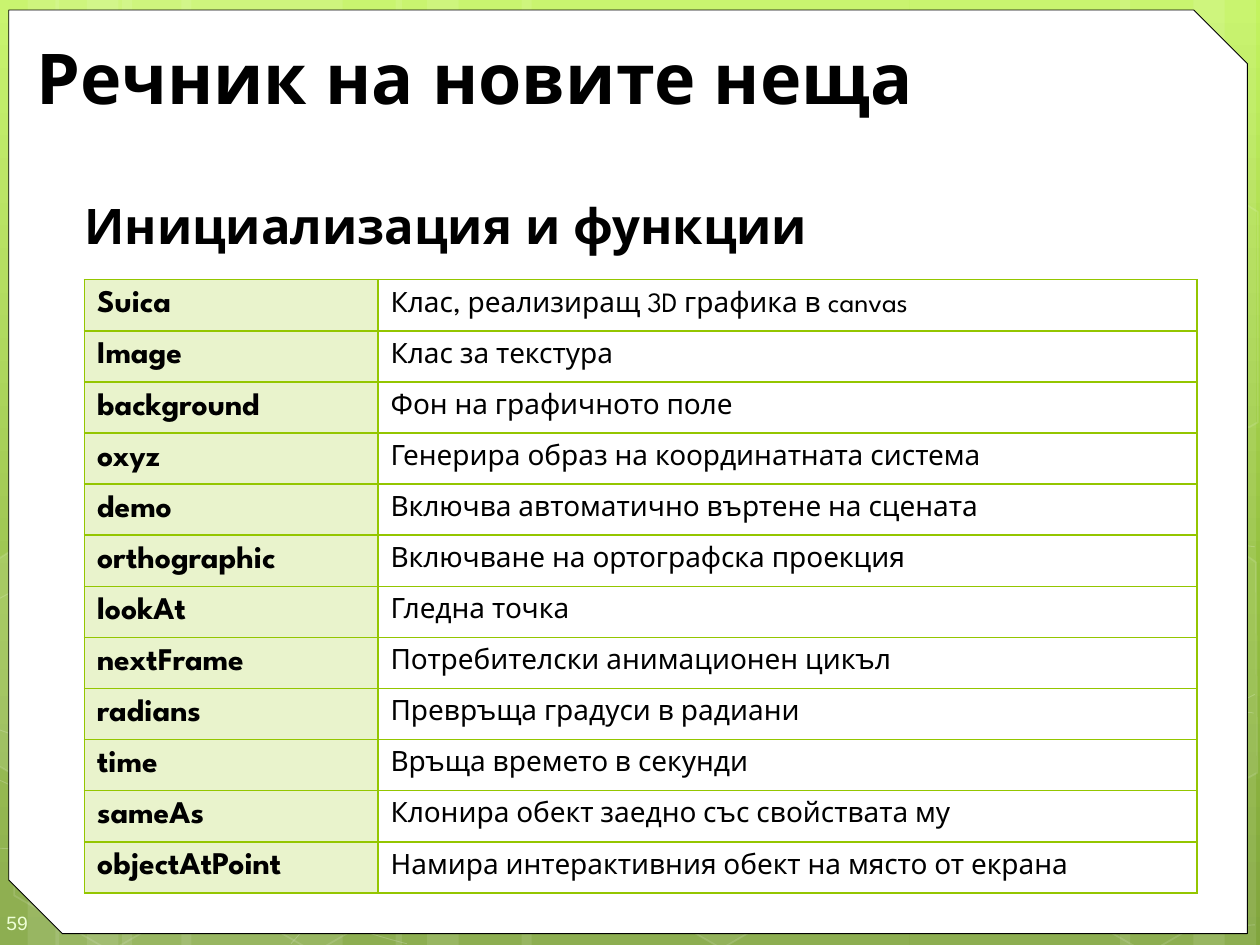
import math

from lxml import etree
from pptx import Presentation
from pptx.dml.color import RGBColor
from pptx.enum import shapes, text
from pptx.oxml import ns
from pptx.util import Inches, Pt

WHITE = RGBColor(0xFF, 0xFF, 0xFF)
BLACK = RGBColor(0, 0, 0)
GREEN = RGBColor(0x94, 0xC6, 0x00)
PALE = RGBColor(0xEE, 0xFF, 0xD6)
BACKDROP = [(0, RGBColor(0xC3, 0xF3, 0x5F)), (62, RGBColor(0x93, 0xBF, 0x3F)),
            (100, RGBColor(0x81, 0xA5, 0x3E))]
FONT = "League Spartan"
TILT = 30

# left, width, rotation
BANDS = [(0.97, 1.75, 0), (-0.03, 0.5, 0), (0.22, 0.83, 0), (1.44, 1.75, 0), (0.44, 0.5, 0),
         (0.69, 0.83, 0), (7.22, 1.75, 180), (9.47, 0.5, 180), (8.89, 0.83, 180),
         (4.14, 3.08, 0), (3.14, 0.5, 0), (3.39, 0.83, 0)]
# each curve: start point, then two handles and an end point per segment
CURVES = [
    [(-0.04, 6.73), (0.5, 6.76), (1.04, 6.79), (1.79, 6.78), (2.54, 6.77), (3.46, 6.75),
     (4.47, 6.65), (5.47, 6.55), (6.89, 6.36), (7.8, 6.17), (8.72, 5.98), (9.66, 5.68),
     (9.96, 5.51)],
    [(-0.04, 4.77), (0.25, 4.61), (0.54, 4.46), (1.1, 4.31), (1.67, 4.16), (2.47, 3.94),
     (3.36, 3.87), (4.25, 3.8), (5.33, 3.79), (6.43, 3.87), (7.53, 3.95), (9.36, 4.26),
     (9.96, 4.34)],
    [(-0.05, 6.17), (1.15, 6.72), (2.36, 7.27), (3.23, 7.49)],
    [(-0.04, 5.78), (0.27, 5.89), (0.59, 6), (1.17, 6.16), (1.75, 6.31), (2.62, 6.56),
     (3.45, 6.73), (4.29, 6.9), (5.34, 7.08), (6.17, 7.18), (6.99, 7.29), (7.89, 7.33),
     (8.41, 7.36), (8.94, 7.4), (9.08, 7.38), (9.34, 7.38), (9.59, 7.37), (9.78, 7.35),
     (9.96, 7.34)],
    [(2.31, 7.49), (2.49, 7.29), (2.67, 7.09), (2.91, 6.91), (3.15, 6.73), (3.49, 6.53),
     (3.76, 6.39), (4.04, 6.25), (4.22, 6.19), (4.58, 6.09), (4.95, 5.99), (5.62, 5.85),
     (5.97, 5.78), (6.32, 5.71), (6.38, 5.71), (6.69, 5.69), (7, 5.66), (7.49, 5.63),
     (7.83, 5.62), (8.17, 5.61), (8.75, 5.62), (8.75, 5.62), (8.97, 5.62), (9.19, 5.62),
     (9.41, 5.62), (9.6, 5.63), (9.77, 5.64), (9.86, 5.65), (9.94, 5.66), (9.91, 5.65),
     (9.95, 5.66)],
]
# left, top, fill opacity, line opacity
HEXAGONS = [(3.25, 3.13, 10, 12), (4.04, 4.51, 0, 12), (4.05, 1.74, 7, 8), (3.23, 0.36, 4, 8),
            (4.85, 5.89, 6, 12), (0, 5.91, 0, 12), (0.03, 3.12, 7, 8), (0.82, 4.51, 0, 12),
            (1.62, 5.92, 0, 12), (1.65, 3.13, 7, 8), (0.84, 1.71, 0, 12), (7.42, 4.53, 10, 12),
            (8.23, 5.93, 0, 12), (8.23, 3.14, 7, 8)]
# centre, corners, fill opacity
CUT_HEXAGONS = [
    ((0.24, 5.35), [(-0.03, 4.45), (0.08, 4.38), (0.85, 4.82), (0.84, 5.7), (0.09, 6.14),
                    (-0.03, 6.07)], 10),
    ((9.74, 5.2), [(9.15, 4.85), (9.9, 4.41), (9.97, 4.46), (9.98, 6.13), (9.91, 6.17),
                   (9.14, 5.73)], 4),
    ((9.74, 2.41), [(9.15, 2.07), (9.9, 1.63), (9.98, 1.68), (9.98, 3.35), (9.91, 3.39),
                    (9.14, 2.95)], 0),
]
TERMS = [
    ("Suica", "Клас, реализиращ 3D графика в canvas"),
    ("Image", "Клас за текстура"),
    ("background", "Фон на графичното поле"),
    ("oxyz", "Генерира образ на координатната система"),
    ("demo", "Включва автоматично въртене на сцената"),
    ("orthographic", "Включване на ортографска проекция"),
    ("lookAt", "Гледна точка"),
    ("nextFrame", "Потребителски анимационен цикъл"),
    ("radians", "Превръща градуси в радиани"),
    ("time", "Връща времето в секунди"),
    ("sameAs", "Клонира обект заедно със свойствата му"),
    ("objectAtPoint", "Намира интерактивния обект на място от екрана"),
]


def add_child(parent, tag, **attributes):
    return etree.SubElement(parent, ns.qn(tag), attributes)


def set_backdrop(page):
    fill = page.background.fill
    fill.gradient()
    fill.gradient_angle = 270
    stops = page.element.xpath(".//p:bg//a:gsLst")[0]
    for stop in list(stops):
        stops.remove(stop)
    for percent, color in BACKDROP:
        stop = add_child(stops, "a:gs", pos=str(percent * 1000))
        add_child(stop, "a:srgbClr", val=str(color))


def set_opacity(colors, percent):
    for color in colors:
        add_child(color, "a:alpha", val=str(percent * 1000))


def make_glassy(shape, fill_opacity=0, line_opacity=0, width=1):
    """Paint in see-through white; an opacity of 0 leaves the part out."""
    shape.shadow.inherit = False
    for fill, opacity, where in ((shape.fill, fill_opacity, "p:spPr"),
                                 (shape.line.fill, line_opacity, "p:spPr/a:ln")):
        if opacity:
            fill.solid()
            fill.fore_color.rgb = WHITE
            set_opacity(shape.element.xpath(f"./{where}/a:solidFill/a:srgbClr"), opacity)
        else:
            fill.background()
    if line_opacity:
        shape.line.width = Pt(width)


def add_preset(page, kind, left, top, width, height):
    return page.shapes.add_shape(kind, Inches(left), Inches(top), Inches(width), Inches(height))


def add_outline(page, points, close):
    corners = [(Inches(x), Inches(y)) for x, y in points]
    builder = page.shapes.build_freeform(*corners[0])
    builder.add_line_segments(corners[1:], close=close)
    return builder.convert_to_shape()


def add_curve(page, knots):
    """Turn every three line segments into one Bezier segment."""
    curve = add_outline(page, knots, False)
    lines = curve.element.xpath(".//a:lnTo")
    for first in range(0, len(lines), 3):
        bend = etree.Element(ns.qn("a:cubicBezTo"))
        lines[first].addprevious(bend)
        for line in lines[first:first + 3]:
            bend.append(line[0])
            line.getparent().remove(line)
    return curve


def turn(point, centre, degrees):
    angle = math.radians(degrees)
    x, y = point[0] - centre[0], point[1] - centre[1]
    return (centre[0] + x * math.cos(angle) - y * math.sin(angle),
            centre[1] + x * math.sin(angle) + y * math.cos(angle))


def add_decoration(page):
    for left, width, rotation in BANDS:
        band = add_preset(page, shapes.MSO_SHAPE.RECTANGLE, left, 0, width, 7.5)
        band.rotation = rotation
        make_glassy(band, fill_opacity=10)
    for knots in CURVES:
        make_glassy(add_curve(page, knots), line_opacity=20, width=0.5)
    for left, top, fill_opacity, line_opacity in HEXAGONS:
        hexagon = add_preset(page, shapes.MSO_SHAPE.HEXAGON, left, top, 1.75, 1.52)
        hexagon.adjustments[0] = 0.285
        hexagon.rotation = TILT
        make_glassy(hexagon, fill_opacity, line_opacity)
    for centre, corners, fill_opacity in CUT_HEXAGONS:
        hexagon = add_outline(page, [turn(corner, centre, -TILT) for corner in corners], True)
        hexagon.rotation = TILT
        make_glassy(hexagon, fill_opacity, 12)


def add_panel(page):
    panel = add_preset(page, shapes.MSO_SHAPE.SNIP_2_DIAG_RECTANGLE, 0.07, 0.08, 9.83, 7.33)
    panel.adjustments[0], panel.adjustments[1] = 0, 0.058
    panel.shadow.inherit = False
    panel.fill.solid()
    panel.fill.fore_color.rgb = WHITE
    panel.line.color.rgb = BLACK
    panel.line.width = Pt(0.5)


def write(para, words, size, bold=False, color=BLACK, font=FONT):
    span = para.add_run()
    span.text = words
    span.font.color.rgb = color
    for name, value in {"size": Pt(size), "bold": bold, "name": font}.items():
        setattr(span.font, name, value)


def add_text(page, place, words, size, anchor=text.MSO_ANCHOR.MIDDLE,
             margins=(0.1, 0.05, 0.1, 0.05), **style):
    box = page.shapes.add_textbox(*map(Inches, place))
    frame = box.text_frame
    frame.word_wrap = True
    frame.vertical_anchor = anchor
    for side, margin in zip(("left", "top", "right", "bottom"), margins):
        setattr(frame, f"margin_{side}", Inches(margin))
    write(frame.paragraphs[0], words, size, **style)


def add_borders(cell_format):
    for position, tag in enumerate(("a:lnL", "a:lnR", "a:lnT", "a:lnB")):
        line = etree.Element(ns.qn(tag), w=str(Pt(1)))
        add_child(add_child(line, "a:solidFill"), "a:srgbClr", val=str(GREEN))
        cell_format.insert(position, line)


def add_glossary(page):
    holder = page.shapes.add_table(len(TERMS), 2, Inches(0.67), Inches(2.22),
                                   Inches(8.83), Inches(4.87))
    table = holder.table
    table.first_row = table.horz_banding = False
    for column, width in zip(table.columns, (2.33, 6.5)):
        column.width = Inches(width)
    for row, term in enumerate(TERMS):
        for column, words in enumerate(term):
            cell = table.cell(row, column)
            cell.vertical_anchor = text.MSO_ANCHOR.MIDDLE
            is_name = column == 0
            write(cell.text_frame.paragraphs[0], words, 18 if is_name else 16, is_name)
            if is_name:
                cell.fill.solid()
                cell.fill.fore_color.rgb = GREEN
            else:
                cell.fill.background()
    set_opacity(holder.element.xpath(".//a:tcPr/a:solidFill/a:srgbClr"), 20)
    for cell_format in holder.element.xpath(".//a:tcPr"):
        add_borders(cell_format)


def main():
    deck = Presentation()
    deck.slide_width, deck.slide_height = Inches(10), Inches(7.5)
    page = deck.slides.add_slide(deck.slide_layouts[6])
    set_backdrop(page)
    add_decoration(page)
    add_panel(page)
    add_text(page, (0, 7.1, 0.58, 0.4), "59", 11, margins=(0.05, 0.15, 0, 0.1),
             color=PALE, font="Arial")
    add_text(page, (0.19, 0.25, 9.47, 0.71), "Речник на новите неща", 40, bold=True)
    add_text(page, (0.5, 1.5, 9.42, 5.92), "Инициализация и функции", 28,
             anchor=text.MSO_ANCHOR.TOP, margins=(0.17, 0.05, 0.1, 0.05), bold=True)
    add_glossary(page)
    deck.save("out.pptx")


if __name__ == "__main__":
    main()
